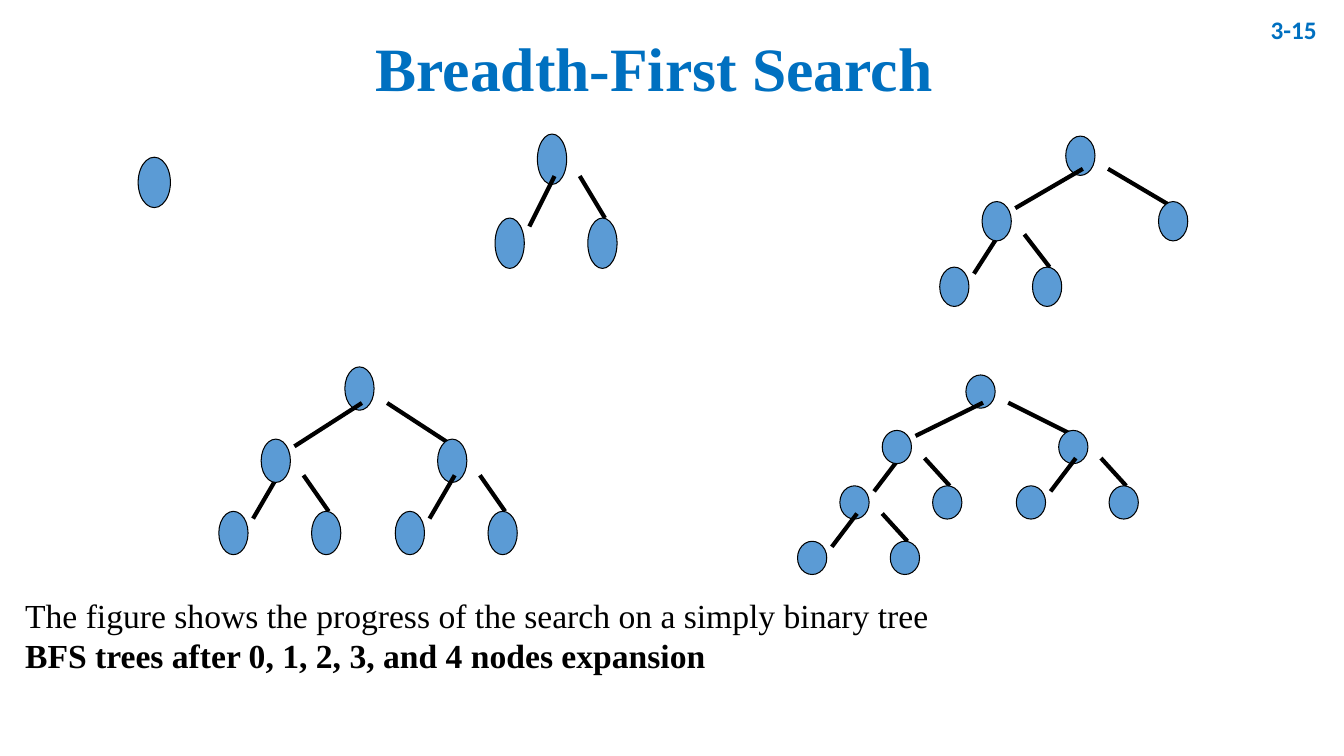
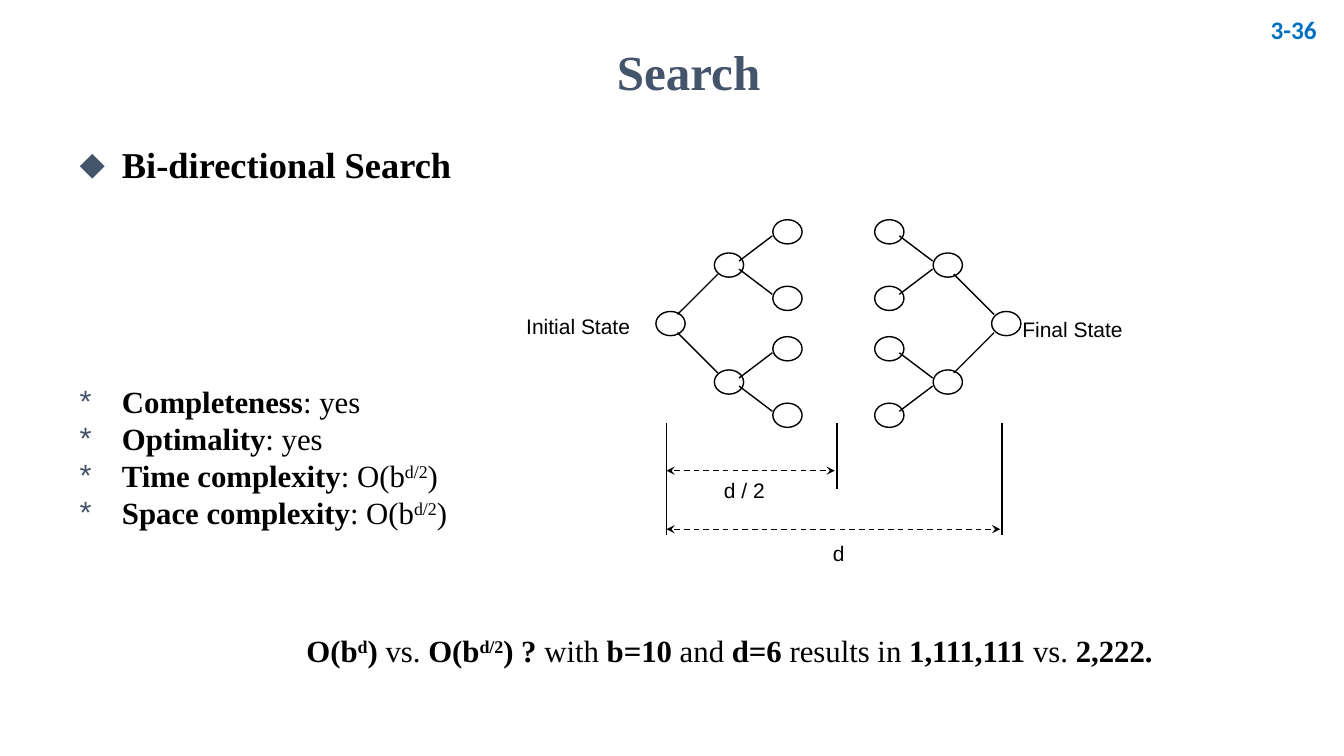
from lxml import etree
from pptx import Presentation
from pptx import util as u
from pptx.dml.color import RGBColor
from pptx.enum import dml, shapes, text
from pptx.oxml import ns


class Theme:
    blue = RGBColor(0x00, 0x70, 0xC0)
    slate = RGBColor(0x44, 0x54, 0x6A)
    node = RGBColor(0x5B, 0x9B, 0xD5)
    black = RGBColor(0, 0, 0)
    serif, sans, number_font = "Times New Roman", "Arial", "Calibri"
    title, subtitle, heading, caption = 44, 35, 26, 24
    body, number, label = 22, 18, 15
    thin, edge, outline = 1, 3, 0.75


def write(shape, at, paragraphs, size, color=Theme.black, font=Theme.serif,
          align=text.PP_ALIGN.LEFT, anchor=text.MSO_ANCHOR.TOP, wrap=True):
    """Place a text shape; spans are (text, style), b for bold and ^ for superscript."""
    shape.left, shape.top, shape.width, shape.height = map(u.Inches, at)
    frame = shape.text_frame
    frame.auto_size = text.MSO_AUTO_SIZE.NONE
    frame.word_wrap = wrap
    frame.vertical_anchor = anchor
    frame.margin_left = frame.margin_right = u.Inches(0.11)
    frame.margin_top = frame.margin_bottom = u.Inches(0.06)
    for index, spans in enumerate(paragraphs):
        para = frame.add_paragraph() if index else frame.paragraphs[0]
        para.alignment = align
        para.space_before = u.Pt(0)
        for words, style in spans:
            span = para.add_run()
            span.text = words
            span.font.name, span.font.size = font, u.Pt(size)
            span.font.bold = "b" in style
            span.font.color.rgb = color
            if "^" in style:
                span.font._element.set("baseline", "30000")
    return frame


def draw_line(canvas, start, end, width, arrows=False):
    line = canvas.add_connector(shapes.MSO_CONNECTOR.STRAIGHT,
                                *map(u.Inches, (*start, *end)))
    line.line.color.rgb = Theme.black
    line.line.width = u.Pt(width)
    properties = line._element.spPr
    if arrows:
        line.line.dash_style = dml.MSO_LINE.DASH
        for tip in ("a:headEnd", "a:tailEnd"):
            etree.SubElement(line.line._get_or_add_ln(), ns.qn(tip), type="stealth")
    etree.SubElement(properties, ns.qn("a:effectLst"))


deck = Presentation()
deck.slide_width, deck.slide_height = u.Inches(13.33), u.Inches(7.5)

# Pages with their titles and numbers
pages = []
for layout, title, at, size, color, anchor, number in (
    (5, "Breadth-First Search", (2.25, 0.25, 8.48, 0.85), Theme.title, Theme.blue,
     text.MSO_ANCHOR.BOTTOM, "3-15"),
    (1, "Search", (2.58, 0.35, 8.5, 0.7), Theme.subtitle, Theme.slate,
     text.MSO_ANCHOR.MIDDLE, "3-36"),
):
    page = deck.slides.add_slide(deck.slide_layouts[layout])
    frame = write(page.shapes.title, at, [[(title, "b")]], size, color,
                  align=text.PP_ALIGN.CENTER, anchor=anchor)
    frame.paragraphs[0].line_spacing = 0.9 if size == Theme.title else 1.0
    write(page.shapes.add_textbox(0, 0, 0, 0), (12.27, -0.01, 0.9, 0.6),
          [[(number, "b")]], Theme.number, Theme.blue, Theme.number_font,
          text.PP_ALIGN.RIGHT, text.MSO_ANCHOR.MIDDLE)
    pages.append(page)
breadth_page, search_page = pages

# Breadth-first trees: nodes are numbered level by level, children 2n and 2n + 1
for expanded, (left, top, width, height) in enumerate((
    (1.37, 1.56, 0.32, 0.5),
    (5.33, 1.33, 0.29, 0.5),
    (10.57, 1.35, 0.29, 0.39),
    (3.42, 3.64, 0.29, 0.43),
    (9.58, 3.72, 0.29, 0.33),
)):
    canvas = breadth_page.shapes
    if expanded:
        canvas = canvas.add_group_shape().shapes
    pitch = height * 5 / 3
    places = {1: (left, top)}
    for node in range(1, 2 * expanded + 2):
        x, y = places[node]
        wide = node == 1 and expanded > 1
        edges = []
        if node <= expanded:
            child_steps = (-0.83, 0.92) if wide else (-0.42, 0.5)
            for side, step in enumerate(child_steps):
                places[2 * node + side] = (x + step, y + pitch)
            drop = 1.1 if wide else 1
            edges = [(0.17, -0.5 if wide else -0.08, 1.1),
                     (0.42, 1.08 if wide else 0.67, drop)]

        def_order = ("edges", "node") if node == 2 else ("node", "edges")
        for part in def_order:
            if part == "node":
                oval = canvas.add_shape(shapes.MSO_SHAPE.OVAL,
                                        *map(u.Inches, (x, y, width, height)))
                oval.shadow.inherit = False
                oval.fill.solid()
                oval.fill.fore_color.rgb = Theme.node
                oval.line.color.rgb = Theme.black
                oval.line.width = u.Pt(Theme.outline)
                continue
            for start, end, depth in edges:
                draw_line(canvas, (x + start, y + pitch / 2),
                          (x + end, y + depth * pitch), Theme.edge)

# Caption under the trees
write(breadth_page.shapes.add_textbox(0, 0, 0, 0), (0.14, 5.7, 12.9, 1.06),
      [[("The figure shows the progress of the search on a simply binary tree", "")],
       [("BFS trees after 0, 1, 2, 3, and 4 nodes expansion", "b")]],
      Theme.caption, anchor=text.MSO_ANCHOR.BOTTOM)

# Properties of bi-directional search
power = [(": O(b", ""), ("d/2", "^"), (")", "")]
frame = write(search_page.placeholders[1], (0.68, 1.35, 12, 5.32), [
    [("Bi-directional Search", "b")],
    [("Completeness", "b"), (": yes", "")],
    [("Optimality", "b"), (": yes", "")],
    [("Time complexity", "b"), *power],
    [("Space complexity", "b"), *power],
], Theme.body)
for index, para in enumerate(frame.paragraphs):
    if index:
        para.line_spacing = u.Pt(26.4)
    properties = para._p.get_or_add_pPr()
    properties.set("marL", str(u.Inches(0.42)))
    properties.set("indent", str(u.Inches(-0.42)))
    bullet_color = etree.SubElement(properties, ns.qn("a:buClr"))
    etree.SubElement(bullet_color, ns.qn("a:srgbClr"), val=str(Theme.slate))
    etree.SubElement(properties, ns.qn("a:buChar"), char="*" if index else "⬥")
frame.paragraphs[0].runs[0].font.size = u.Pt(Theme.heading)
frame.paragraphs[1].space_before = u.Pt(141)

# Two search trees growing towards each other
for root_x, side, edge_shift in ((6.65, 1, 0), (9.98, -1, -0.05)):
    canvas = search_page.shapes.add_group_shape().shapes
    root_y = 3.21
    centres = [(root_x, root_y)]
    for branch in (-1, 1):
        x, y = root_x + side * 0.58, root_y + branch * 0.58
        centres.append((x, y))
        start_x = root_x + edge_shift + side * 0.07
        draw_line(canvas, (start_x, root_y + branch * 0.09),
                  (start_x + side * 0.4, root_y + branch * 0.49), Theme.thin)
        for twig in (-1, 1):
            centres.append((x + side * 0.58, y + twig * 0.33))
            start_x = x + edge_shift + side * 0.1
            draw_line(canvas, (start_x, y + twig * 0.04),
                      (start_x + side * 0.33, y + twig * 0.29), Theme.thin)
    for x, y in centres:
        oval = canvas.add_shape(shapes.MSO_SHAPE.OVAL,
                                *map(u.Inches, (x - 0.145, y - 0.12, 0.29, 0.24)))
        oval.shadow.inherit = False
        oval.fill.background()
        oval.line.color.rgb = Theme.black
        oval.line.width = u.Pt(Theme.thin)

# Depth measures
for x, bottom in ((6.61, 5.31), (8.3, 4.85), (9.94, 5.31)):
    draw_line(search_page.shapes, (x, 4.2), (x, bottom), Theme.thin)
for right, y in ((8.28, 4.67), (9.92, 5.25)):
    draw_line(search_page.shapes, (6.61, y), (right, y), Theme.thin, arrows=True)

# Labels
for words, at in (
    ("d", (8.15, 5.3, 0.34, 0.36)),
    ("d / 2", (7.07, 4.68, 0.63, 0.36)),
    ("Initial State", (5.11, 3.05, 1.26, 0.36)),
    ("Final State", (10.03, 3.08, 1.22, 0.36)),
):
    write(search_page.shapes.add_textbox(0, 0, 0, 0), at, [[(words, "")]],
          Theme.label, font=Theme.sans, wrap=False)

# Comparison of costs
write(search_page.shapes.add_textbox(0, 0, 0, 0), (2.93, 6.21, 8.75, 0.48), [[
    ("O(b", "b"), ("d", "b^"), (")", "b"), (" vs. ", ""),
    ("O(b", "b"), ("d/2", "b^"), (") ?", "b"), (" with ", ""),
    ("b=10", "b"), (" and ", ""), ("d=6", "b"), (" results in ", ""),
    ("1,111,111", "b"), (" vs. ", ""), ("2,222.", "b"),
]], Theme.body, wrap=False)

deck.save("out.pptx")
